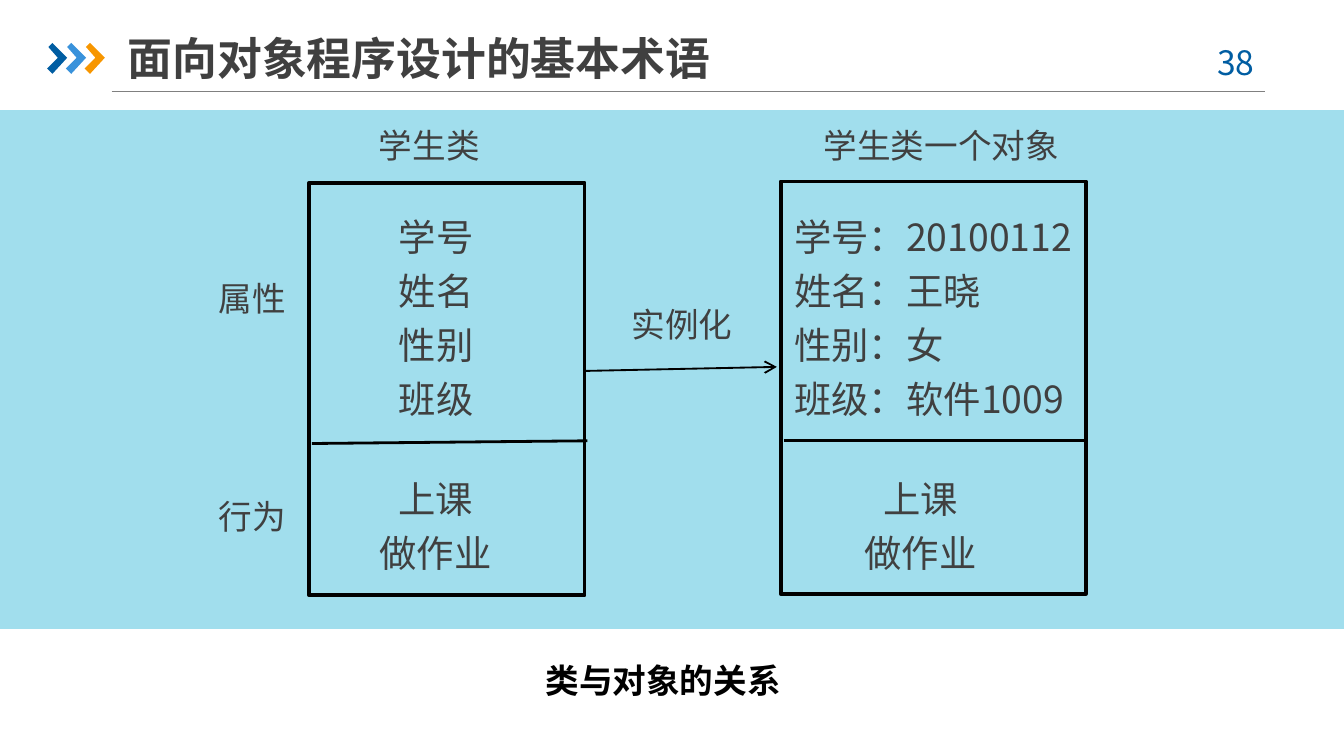
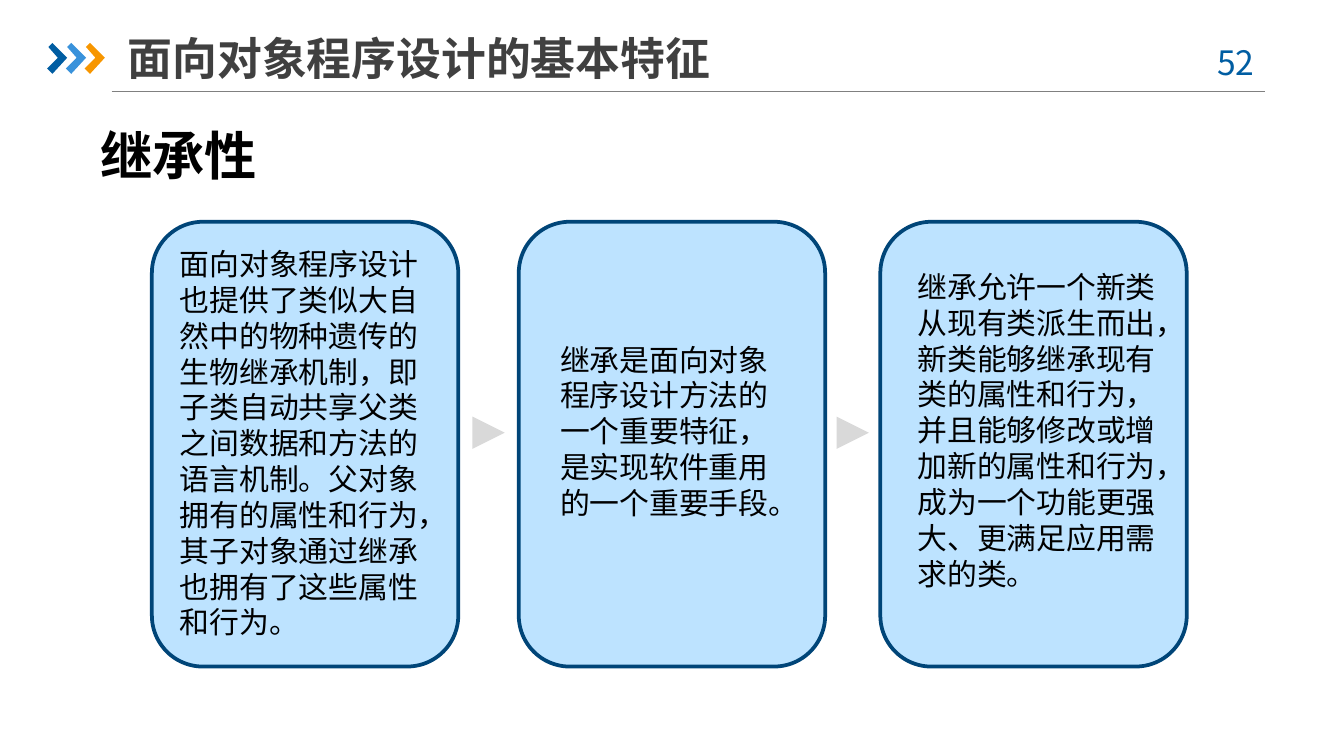
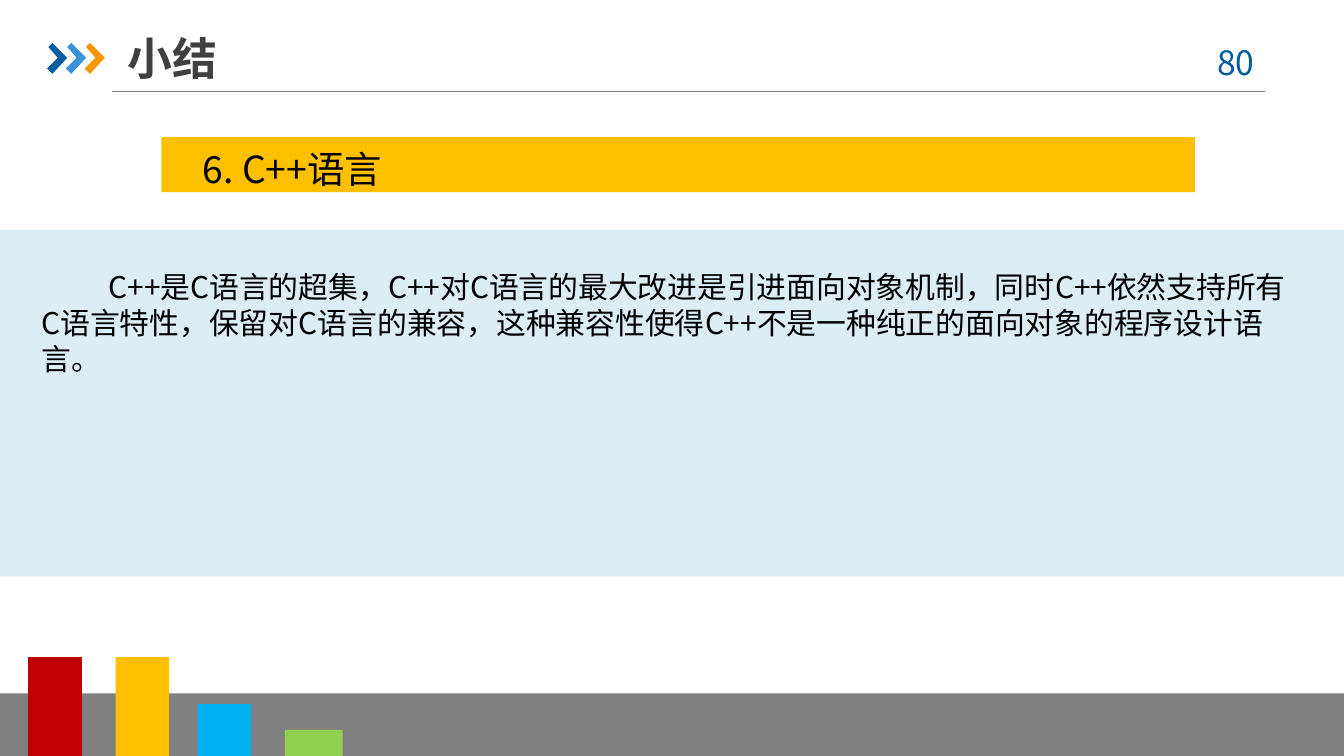
from pptx import Presentation
from pptx.dml.color import RGBColor as RGB
from pptx.enum.shapes import MSO_CONNECTOR as Conn, MSO_SHAPE as Kind
from pptx.enum.text import MSO_ANCHOR as Anchor, MSO_AUTO_SIZE as Fit, PP_ALIGN as Align
from pptx.oxml.ns import qn
from pptx.util import Inches as In, Pt
from lxml.etree import SubElement as Sub
from dataclasses import dataclass

W, H = 10, 5.625


@dataclass(frozen=True)
class Theme:
    font: str = "Noto Sans CJK SC"
    plain: str = "Arial"
    ink: str = "404040"
    black: str = "000000"
    rule: str = "808080"
    navy: str = "005DA2"
    blue: str = "3992DB"
    orange: str = "F79600"
    aqua: str = "75CFE5"
    sky: str = "74C4FF"
    edge: str = "004578"
    arrow: str = "D9D9D9"
    pale: str = "DBEEF4"
    gold: str = "FFC000"
    red: str = "C00000"
    cyan: str = "00B0F0"
    green: str = "92D050"
    head: int = 28
    title: int = 24
    list: int = 20
    label: int = 18
    body: int = 16


T = Theme()

# Content
TERMS = "面向对象程序设计的基本术语"
TRAITS = "面向对象程序设计的基本特征"
DEEDS = ["上课", "做作业"]
# Box (left, top, width), attribute lines, their left, left of the deeds
BOXES = [
    ((2.3, 1.36, 2.05), ["学号", "姓名", "性别", "班级"], 2.87, 2.69),
    ((5.81, 1.35, 2.27),
     ["学号：20100112", "姓名：王晓", "性别：女", "班级：软件1009"], 5.81, 6.3),
]
LABELS = [
    ("学生类", 2.72, 0.88), ("学生类一个对象", 6.03, 0.88),
    ("属性", 1.53, 2.02), ("行为", 1.53, 3.64), ("实例化", 4.6, 2.21),
]
RULES = [((2.32, 3.3), (4.37, 3.28)), ((5.83, 3.28), (8.07, 3.28))]
# Card left, then its text: left, top, width, wording
CARDS = [
    (1.13, 1.24, 1.78, 2.07,
     "面向对象程序设计也提供了类似大自然中的物种遗传的生物继承机制，"
     "即子类自动共享父类之间数据和方法的语言机制。"
     "父对象拥有的属性和行为，其子对象通过继承也拥有了这些属性和行为。"),
    (3.86, 4.07, 2.49, 1.86,
     "继承是面向对象程序设计方法的一个重要特征，是实现软件重用的一个重要手段。"),
    (6.55, 6.73, 1.95, 2.02,
     "继承允许一个新类从现有类派生而出，新类能够继承现有类的属性和行为，"
     "并且能够修改或增加新的属性和行为，成为一个功能更强大、更满足应用需求的类。"),
]
POINT = "6. C++语言"
SUMMARY = ("C++是C语言的超集，C++对C语言的最大改进是引进面向对象机制，"
           "同时C++依然支持所有C语言特性，保留对C语言的兼容，"
           "这种兼容性使得C++不是一种纯正的面向对象的程序设计语言。")
# Left, top, width, colour; each bar stands on the bottom edge
BARS = [
    (0, 5.16, W, T.rule), (1.47, 5.24, 0.4, T.cyan), (0.86, 4.89, 0.4, T.gold),
    (0.21, 4.89, 0.4, T.red), (2.12, 5.43, 0.43, T.green),
]
CHEVRON = [(0.01, 0.03), (0.04, 0), (0.15, 0.11), (0.04, 0.23), (0, 0.19), (0.08, 0.11)]


# Drawing helpers
def paint(part, fill=None, alpha=None, edge=None, wide=2):
    part.shadow.inherit = False
    if fill:
        part.fill.solid()
        part.fill.fore_color.rgb = RGB.from_string(fill)
        if alpha:
            color = part.fill._xPr.find(qn("a:solidFill"))[0]
            Sub(color, qn("a:alpha"), val=str(alpha * 1000))
    else:
        part.fill.background()
    if edge:
        part.line.color.rgb = RGB.from_string(edge)
        part.line.width = Pt(wide)
    else:
        part.line.fill.background()
    return part


def shape(slide, x, y, w, h, kind=Kind.RECTANGLE, **style):
    return paint(slide.shapes.add_shape(kind, In(x), In(y), In(w), In(h)), **style)


def line(slide, start, end, color=T.black, wide=1.5, arrow=False):
    link = slide.shapes.add_connector(Conn.STRAIGHT, *map(In, start + end))
    link.line.color.rgb = RGB.from_string(color)
    link.line.width = Pt(wide)
    if arrow:
        Sub(link.line._get_or_add_ln(), qn("a:tailEnd"), type="arrow")
    Sub(link._element.spPr, qn("a:effectLst"))


def text(slide, lines, x, y, w, h, size=T.label, color=T.ink, bold=False,
         font=T.font, wrap=True, grow=True, align=Align.LEFT, gap=None, indent=0):
    box = slide.shapes.add_textbox(In(x), In(y), In(w), In(h))
    frame = box.text_frame
    frame.word_wrap = wrap
    frame.auto_size = Fit.SHAPE_TO_FIT_TEXT if grow else Fit.NONE
    for i, words in enumerate(lines):
        para = frame.add_paragraph() if i else frame.paragraphs[0]
        para.alignment = align
        if gap:
            para.line_spacing = gap
        if indent:
            para._p.get_or_add_pPr().set("indent", str(In(indent)))
        run = para.add_run()
        run.text = words
        run.font.name, run.font.size, run.font.bold = font, Pt(size), bold
        run.font.color.rgb = RGB.from_string(color)
        Sub(run._r.get_or_add_rPr(), qn("a:ea"), typeface=T.font)
    return frame


# Shared header: rule, chevrons, page number, title
def start(deck, title, page):
    slide = deck.slides.add_slide(deck.slide_layouts[6])
    line(slide, (0.83, 0.68), (9.41, 0.68), T.rule, 0.75)
    for i, color in enumerate((T.navy, T.blue, T.orange)):
        dots = [(In(0.35 + 0.14 * i + x), In(0.32 + y)) for x, y in CHEVRON]
        pen = slide.shapes.build_freeform(*dots[0])
        pen.add_line_segments(dots[1:], close=True)
        paint(pen.convert_to_shape(), color)
    text(slide, [str(page)], 8.83, 0.26, 0.73, 0.4, color=T.navy, align=Align.CENTER)
    frame = text(slide, [title], 0.95, 0.22, 5.07, 0.42, T.title, bold=True, grow=False)
    frame.margin_left = frame.margin_right = 0
    frame.vertical_anchor = Anchor.MIDDLE
    return slide


def terms(deck):
    slide = start(deck, TERMS, 38)
    shape(slide, 0, 0.82, W, 3.86, fill=T.aqua, alpha=68)
    # Class and object boxes
    for (x, y, w), names, left, deed in BOXES:
        shape(slide, x, y, w, 3.07, edge=T.black)
        wide = 2.34 if "：" in names[0] else 0.76
        text(slide, names, left, 1.48, wide, 1.72, T.list, wrap=False, gap=1.2)
        text(slide, DEEDS, deed, 3.43, 1.1, 0.91, T.list,
             gap=1.2, align=Align.CENTER)
    for ends in RULES:
        line(slide, *ends)
    line(slide, (4.36, 2.76), (5.78, 2.73), wide=1, arrow=True)
    # Labels and caption
    for words, x, y in LABELS:
        text(slide, [words], x, y, 0.2 + 0.25 * len(words), 0.4, wrap=False)
    text(slide, ["类与对象的关系"], 3.96, 4.86, 1.98, 0.4, color=T.black,
         bold=True, font=T.plain, wrap=False)


def traits(deck):
    slide = start(deck, TRAITS, 52)
    text(slide, ["继承性"], 0.65, 0.87, 6.69, 0.57, T.head, T.black, True)
    top, wide, tall, tip = 1.65, 2.28, 3.31, 0.24
    for x, left, y, w, words in CARDS:
        shape(slide, x, top, wide, tall, Kind.ROUNDED_RECTANGLE,
              fill=T.sky, alpha=47, edge=T.edge)
        text(slide, [words], left, y, w, 2 * (top + tall / 2 - y), T.body, T.black)
    # Arrows centred in the gaps between cards
    for card, after in zip(CARDS, CARDS[1:]):
        mid = (card[0] + wide + after[0]) / 2
        mark = shape(slide, mid - tip / 2, 3.1, tip, tip,
                     Kind.FLOWCHART_EXTRACT, fill=T.arrow)
        mark.rotation = 90


def summary(deck):
    slide = start(deck, "小结", 80)
    # Footer bars
    for x, y, w, color in BARS:
        shape(slide, x, y, w, H - y, fill=color)
    # Bands and their text
    shape(slide, 0, 1.71, W, 2.58, fill=T.pale)
    shape(slide, 1.2, 1.02, 7.69, 0.41, fill=T.gold)
    text(slide, [POINT], 1.41, 1.04, 5.74, 0.44, T.list, T.black)
    text(slide, [SUMMARY], 0.21, 1.95, 9.51, 0.91, T.body, T.black, indent=0.5)


def main():
    deck = Presentation()
    deck.slide_width, deck.slide_height = In(W), In(H)
    for build in (terms, traits, summary):
        build(deck)
    deck.save("out.pptx")


if __name__ == "__main__":
    main()
